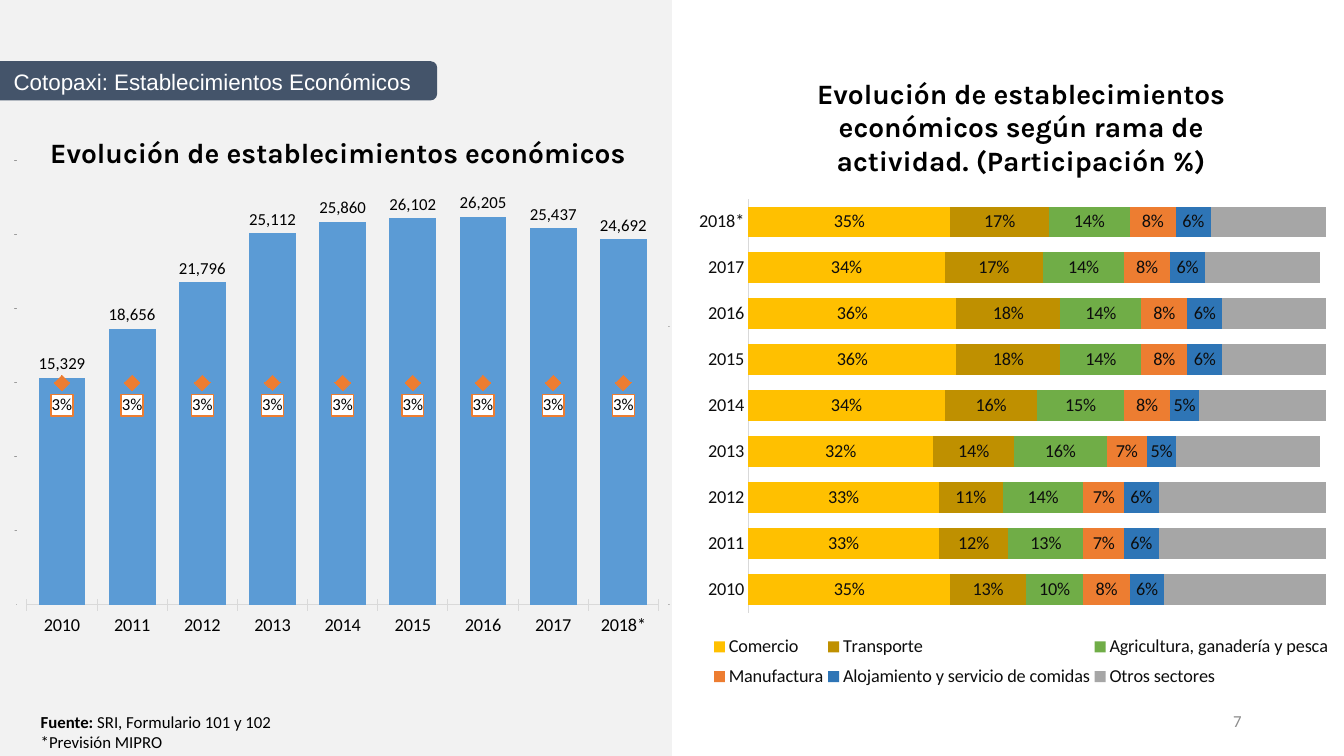
from pptx import Presentation
from pptx.chart.data import CategoryChartData
from pptx.dml.color import RGBColor
from pptx.enum.chart import (XL_CHART_TYPE, XL_LABEL_POSITION,
                             XL_LEGEND_POSITION, XL_MARKER_STYLE, XL_TICK_MARK)
from pptx.enum.shapes import MSO_SHAPE
from pptx.enum.text import MSO_ANCHOR, PP_ALIGN
from pptx.oxml import parse_xml
from pptx.oxml.ns import nsdecls
from pptx.util import Pt

YEARS = ["2010", "2011", "2012", "2013", "2014", "2015", "2016", "2017", "2018*"]
ESTABLISHMENTS = [15329, 18656, 21796, 25112, 25860, 26102, 26205, 25437, 24692]
NATIONAL_SHARE = [0.03] * len(YEARS)
SECTORS = [
    ("Comercio", "FFC000", [0.35, 0.33, 0.33, 0.32, 0.34, 0.36, 0.36, 0.34, 0.35]),
    ("Transporte", "BF9000", [0.13, 0.12, 0.11, 0.14, 0.16, 0.18, 0.18, 0.17, 0.17]),
    ("Agricultura, ganadería y pesca", "70AD47",
     [0.1, 0.13, 0.14, 0.16, 0.15, 0.14, 0.14, 0.14, 0.14]),
    ("Manufactura", "ED7D31", [0.08, 0.07, 0.07, 0.07, 0.08, 0.08, 0.08, 0.08, 0.08]),
    ("Alojamiento y servicio de comidas", "2E75B6",
     [0.06, 0.06, 0.06, 0.05, 0.05, 0.06, 0.06, 0.06, 0.06]),
    ("Otros sectores", "A6A6A6", [0.29, 0.29, 0.29, 0.25, 0.23, 0.18, 0.18, 0.2, 0.2]),
]


def rgb(value):
    return RGBColor.from_string(value)


def set_font(font, size, color="000000", name="Calibri", bold=False):
    font.size = Pt(size)
    font.name = name
    font.bold = bold
    font.color.rgb = rgb(color)


def add_block(s, kind, x, y, w, h, color, rotation=0):
    sp = s.shapes.add_shape(kind, Pt(x), Pt(y), Pt(w), Pt(h))
    sp.shadow.inherit = False
    sp.fill.solid()
    sp.fill.fore_color.rgb = rgb(color)
    sp.line.fill.background()
    sp.rotation = rotation


def add_text(s, paragraphs, x, y, w, h, align=PP_ALIGN.LEFT, anchor=MSO_ANCHOR.TOP,
             wrap=True, inset=(7.2, 3.6), **font):
    tf = s.shapes.add_textbox(Pt(x), Pt(y), Pt(w), Pt(h)).text_frame
    tf.word_wrap = wrap
    tf.vertical_anchor = anchor
    tf.margin_left = tf.margin_right = Pt(inset[0])
    tf.margin_top = tf.margin_bottom = Pt(inset[1])
    for i, runs in enumerate(paragraphs):
        p = tf.paragraphs[0] if i == 0 else tf.add_paragraph()
        p.alignment = align
        for text, extra in runs:
            r = p.add_run()
            r.text = text
            set_font(r.font, **{**font, **extra})


def make_layout(x, y, w, h, inner):
    target = '<c:layoutTarget val="inner"/>' if inner else ""
    return parse_xml(
        f'<c:layout {nsdecls("c")}><c:manualLayout>{target}'
        '<c:xMode val="edge"/><c:yMode val="edge"/>'
        f'<c:x val="{x}"/><c:y val="{y}"/><c:w val="{w}"/><c:h val="{h}"/>'
        '</c:manualLayout></c:layout>')


def add_bars(s, kind, series, box, plot_box, size, color):
    data = CategoryChartData()
    data.categories = YEARS
    for name, values, number_format in series:
        data.add_series(name, values, number_format)
    chart = s.shapes.add_chart(kind, *map(Pt, box), data).chart
    chart.has_title = False
    chart.has_legend = False
    set_font(chart.font, size, color)
    plot = chart.plots[0]
    plot.gap_width = 50
    plot.vary_by_categories = False
    axis = chart.category_axis
    set_font(axis.tick_labels.font, 13, color)
    axis.format.line.color.rgb = rgb("D9D9D9")
    axis.format.line.width = Pt(0.75)
    chart.value_axis.has_major_gridlines = False
    chart.value_axis.minimum_scale = 0
    area = chart.element.chart.plotArea if hasattr(chart, "element") else \
        chart.plots[0]._element.getparent()
    for layout in area.xpath("c:layout"):
        area.remove(layout)
    area.insert(0, make_layout(*plot_box, True))
    return chart, area


def color_series(series, color):
    series.format.fill.solid()
    series.format.fill.fore_color.rgb = rgb(color)


def label_series(series, size, color, number_format, position):
    labels = series.data_labels
    labels.show_value = True
    labels.number_format = number_format
    labels.number_format_is_linked = False
    labels.position = position
    set_font(labels.font, size, color)


def move_to_right_axis(chart, area):
    line = parse_xml(
        f'<c:lineChart {nsdecls("c")}><c:grouping val="standard"/>'
        '<c:varyColors val="0"/><c:marker val="1"/>'
        '<c:axId val="5001"/><c:axId val="5002"/></c:lineChart>')
    ser = area.xpath("c:barChart/c:ser")[1]
    for flag in ser.xpath("c:invertIfNegative"):
        ser.remove(flag)
    line.insert(2, ser)
    area.xpath("c:barChart")[0].addnext(line)
    hidden = parse_xml(
        f'<c:catAx {nsdecls("c")}><c:axId val="5001"/>'
        '<c:scaling><c:orientation val="minMax"/></c:scaling><c:delete val="1"/>'
        '<c:axPos val="b"/><c:crossAx val="5002"/></c:catAx>')
    right = parse_xml(
        f'<c:valAx {nsdecls("c", "a")}><c:axId val="5002"/>'
        '<c:scaling><c:orientation val="minMax"/><c:max val="0.034"/>'
        '<c:min val="0.026"/></c:scaling><c:delete val="0"/><c:axPos val="r"/>'
        '<c:numFmt formatCode="0%" sourceLinked="0"/><c:majorTickMark val="cross"/>'
        '<c:minorTickMark val="none"/><c:tickLblPos val="nextTo"/>'
        '<c:spPr><a:ln><a:noFill/></a:ln></c:spPr>'
        '<c:txPr><a:bodyPr/><a:p><a:pPr><a:defRPr sz="100"/></a:pPr></a:p></c:txPr>'
        '<c:crossAx val="5001"/><c:crosses val="max"/><c:majorUnit val="0.005"/></c:valAx>')
    area.xpath("c:valAx")[0].addnext(hidden)
    hidden.addnext(right)
    return chart.plots[1].series[0]


def add_establishments_chart(s):
    series = [("Total establecimientos económicos Provincia", ESTABLISHMENTS, "#,##0"),
              ("Participación en el total nacional", NATIONAL_SHARE, "0%")]
    chart, area = add_bars(s, XL_CHART_TYPE.COLUMN_CLUSTERED, series,
                           (0, 114.5, 480, 378), (0.04, 0, 0.94, 0.84), 12, "000000")
    chart.category_axis.major_tick_mark = XL_TICK_MARK.CROSS
    axis = chart.value_axis
    axis.maximum_scale = 30000
    axis.major_unit = 5000
    axis.major_tick_mark = XL_TICK_MARK.CROSS
    axis.format.line.fill.background()
    set_font(axis.tick_labels.font, 1)
    totals = chart.plots[0].series[0]
    color_series(totals, "5B9BD5")
    label_series(totals, 12, "000000", "#,##0", XL_LABEL_POSITION.OUTSIDE_END)

    share = move_to_right_axis(chart, area)
    share.smooth = False
    share.format.line.fill.background()
    marker = share.marker
    marker.style = XL_MARKER_STYLE.DIAMOND
    marker.size = 11
    marker.format.fill.solid()
    marker.format.fill.fore_color.rgb = rgb("ED7D31")
    marker.format.line.fill.background()
    label_series(share, 12, "000000", "0%", XL_LABEL_POSITION.BELOW)
    frame = parse_xml(
        f'<c:spPr {nsdecls("c", "a")}><a:solidFill><a:srgbClr val="FFFFFF"/></a:solidFill>'
        '<a:ln w="12700"><a:solidFill><a:srgbClr val="ED7D31"/></a:solidFill></a:ln></c:spPr>')
    area.xpath("c:lineChart/c:ser/c:dLbls/c:txPr")[0].addprevious(frame)


def add_sectors_chart(s):
    chart, area = add_bars(s, XL_CHART_TYPE.BAR_STACKED,
                           [(name, values, "0%") for name, _, values in SECTORS],
                           (488, 131, 464, 369.5), (0.1, 0.03, 0.89, 0.8), 13, "0D0D0D")
    chart.plots[0].overlap = 100
    chart.category_axis.major_tick_mark = XL_TICK_MARK.NONE
    chart.value_axis.maximum_scale = 1
    chart.value_axis.visible = False
    for series, (name, color, _) in zip(chart.plots[0].series, SECTORS):
        color_series(series, color)
        if name != "Otros sectores":
            label_series(series, 13, "0D0D0D", "0%", XL_LABEL_POSITION.CENTER)
    chart.has_legend = True
    chart.legend.position = XL_LEGEND_POSITION.BOTTOM
    chart.legend.include_in_layout = False
    set_font(chart.legend.font, 13, "0D0D0D")
    position = area.getparent().xpath("c:legend/c:legendPos")[0]
    position.addnext(make_layout(0.04, 0.86, 0.96, 0.13, False))


def main():
    prs = Presentation()
    prs.slide_width, prs.slide_height = Pt(960), Pt(540)
    s = prs.slides.add_slide(prs.slide_layouts[6])
    add_block(s, MSO_SHAPE.RECTANGLE, 0, 0, 480, 540, "F2F2F2")
    add_text(s, [[("Fuente: ", {"bold": True}), ("SRI, Formulario 101 y 102", {})],
                 [("*Previsión MIPRO", {})]], 22, 505, 410, 36, size=12)
    add_block(s, MSO_SHAPE.ROUND_2_SAME_RECTANGLE, 142, -98.5, 28, 312.5, "44546A", 90)
    add_text(s, [[("Cotopaxi: Establecimientos Económicos", {})]], 4, 46, 298, 25,
             wrap=False, inset=(5.76, 2.88), size=16, color="FFFFFF", name="Arial")
    heading = {"align": PP_ALIGN.CENTER, "size": 20, "name": "Karla", "bold": True}
    add_text(s, [[("Evolución de establecimientos económicos", {})]],
             11.5, 93, 460, 31.5, **heading)
    add_text(s, [[("Evolución de establecimientos económicos según rama de actividad. "
                   "(Participación %)", {})]], 543.5, 51, 372, 80, **heading)
    add_text(s, [[("7", {})]], 678, 500.5, 216, 28.75, align=PP_ALIGN.RIGHT,
             anchor=MSO_ANCHOR.MIDDLE, size=12, color="8C8C8C")
    add_establishments_chart(s)
    add_sectors_chart(s)
    prs.save("out.pptx")


if __name__ == "__main__":
    main()
